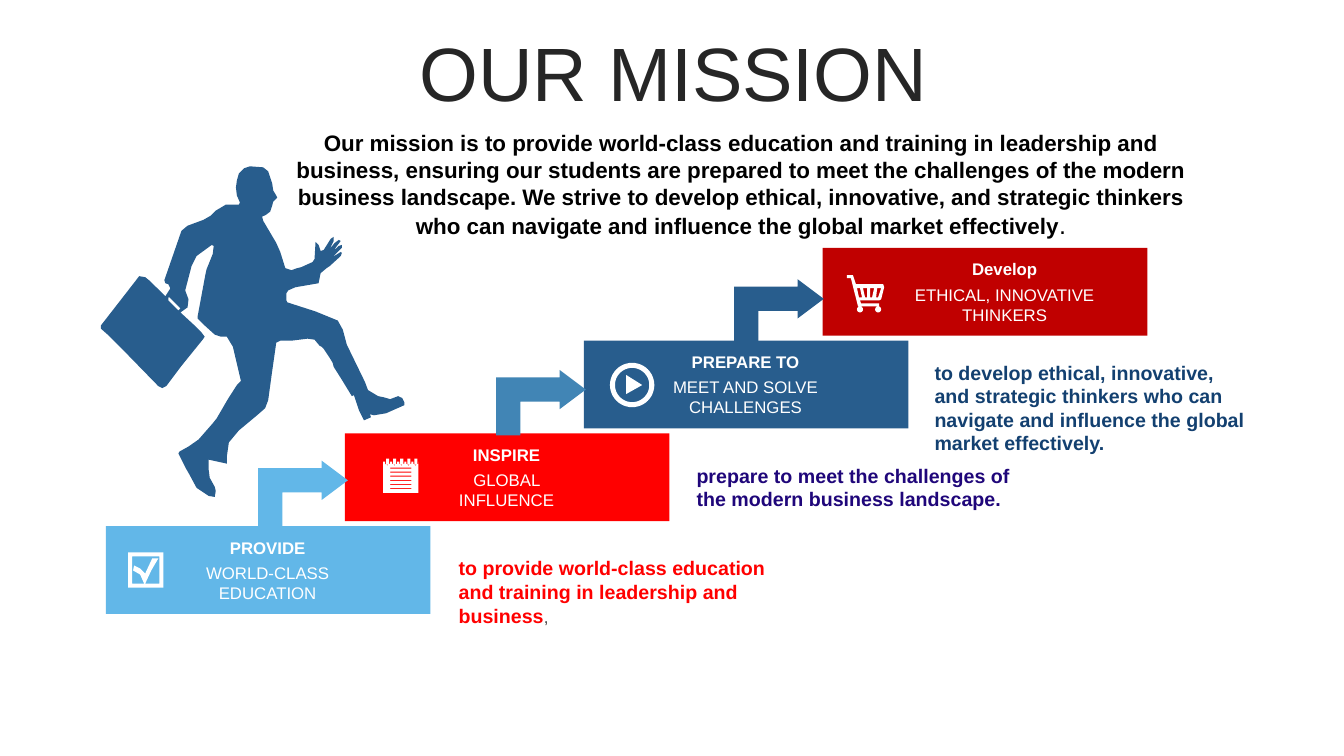
"""Build the mission slide: a running man and four rising steps."""
from dataclasses import dataclass
from math import cos, pi, sin

from pptx import Presentation
from pptx import util as u
from pptx.dml.color import RGBColor
from pptx.enum import shapes, text

Point = tuple[float, float]
Path = list[Point]
Box = tuple[float, float, float, float]

WHITE = RGBColor(0xFF, 0xFF, 0xFF)
BLACK = RGBColor(0, 0, 0)
DARK = RGBColor(0x26, 0x26, 0x26)
GREY = RGBColor(0x40, 0x40, 0x40)
SKY = RGBColor(0x62, 0xB7, 0xE8)
STEEL = RGBColor(0x41, 0x85, 0xB5)
BLUE = RGBColor(0x28, 0x5D, 0x8D)
NAVY = RGBColor(0x13, 0x40, 0x70)
INDIGO = RGBColor(0x1F, 0x06, 0x7A)
RED = RGBColor(0xFF, 0, 0)
CRIMSON = RGBColor(0xC0, 0, 0)

LEFT, TOP, RUN, RISE = 1.05, 5.22, 2.37, 0.92
CENTER = text.PP_ALIGN.CENTER


@dataclass
class Run:
    words: str
    size: float
    color: RGBColor
    bold: bool = False


@dataclass
class Step:
    head: str
    label: str
    fill: RGBColor
    left: float
    width: float = 1.73


@dataclass
class Note:
    box: Box
    runs: list[Run]


STEPS = [
    Step("PROVIDE", "WORLD-CLASS EDUCATION", SKY, 1.79),
    Step("INSPIRE", "GLOBAL INFLUENCE", RED, 4.16),
    Step("PREPARE TO", "MEET AND SOLVE CHALLENGES", BLUE, 6.53),
    Step("Develop", "ETHICAL, INNOVATIVE THINKERS", CRIMSON, 8.93, 2.07),
]
ARROWS = [SKY, STEEL, BLUE]
NOTES = [
    Note((4.45, 5.47, 3.35, 0.81), [
        Run("to provide world-class education and training in leadership and business", 14, RED, True),
        Run(",", 12, GREY)]),
    Note((6.81, 4.55, 3.35, 0.57), [
        Run("prepare to meet the challenges of the modern business landscape.", 14, INDIGO, True)]),
    Note((9.17, 3.53, 3.35, 1.04), [
        Run("to develop ethical, innovative, and strategic thinkers who can navigate "
            "and influence the global market effectively.", 14, NAVY, True)]),
]
MISSION = [
    Run("Our mission is to provide world-class education and training in leadership and business, "
        "ensuring our students are prepared to meet the challenges of the modern business landscape. "
        "We strive to develop ethical, innovative, and strategic thinkers who can navigate and "
        "influence the global market effectively", 16, BLACK, True),
    Run(".", 18, BLACK),
]
CASE = """
1.08,3.33 1.19,3.44 1.57,3.83 1.61,3.85 1.65,3.83 1.8,3.63 2.01,3.37 2.03,3.34 2,3.3 1.92,3.22
1.79,3.1 1.86,3.05 1.87,2.97 1.84,2.89 1.84,2.87 1.9,2.64 1.95,2.54 2.1,2.43 2.12,2.44 2.11,2.52
2.05,2.67 2.04,2.71 1.96,3.14 1.96,3.16 2.02,3.22 2.13,3.32 2.19,3.34 2.25,3.34 2.31,3.44 2.39,3.78"""
LEGS = """
2.35,3.82 2.26,3.96 2.15,4.15 2.11,4.2 1.97,4.36 1.87,4.43 1.78,4.48 1.77,4.5 1.84,4.64 1.88,4.71
1.95,4.84 2.07,4.92 2.13,4.93 2.14,4.87 2.13,4.83 2.08,4.74 2.07,4.66 2.07,4.56 2.25,4.6 2.25,4.53
2.27,4.39 2.37,4.27 2.55,4.12 2.63,4.05 2.66,3.97 2.7,3.68 2.74,3.4 2.78,3.38 2.89,3.38 3.05,3.36
3.12,3.37 3.17,3.43 3.19,3.44 3.21,3.46 3.27,3.55 3.3,3.6 3.31,3.64 3.38,3.75 3.49,3.93 3.51,3.92
3.56,4.07 3.61,4.17 3.68,4.14 3.67,4.11 3.71,4.12 3.83,4.1 4.01,4.02 4.01,3.99 3.99,3.95 3.95,3.93
3.87,3.96 3.8,3.94 3.75,3.93 3.65,3.87 3.62,3.79 3.44,3.42 3.4,3.27 3.35,3.18 3.13,3.09 2.85,3"""
HAND = """
2.84,2.98 2.84,2.91 2.86,2.88 2.93,2.85 3.16,2.81 3.18,2.71 3.24,2.66 3.27,2.64 3.38,2.54 3.39,2.51
3.38,2.5 3.3,2.55 3.32,2.53 3.39,2.46 3.39,2.43 3.36,2.44 3.33,2.47 3.32,2.47 3.38,2.39 3.36,2.38
3.32,2.41 3.27,2.47 3.31,2.39 3.31,2.35 3.28,2.37 3.23,2.45 3.21,2.48 3.18,2.49 3.16,2.43 3.13,2.4
3.12,2.57 3.1,2.6 2.99,2.65 2.95,2.66 2.89,2.68 2.83,2.66 2.78,2.5 2.74,2.41 2.61,2.19 2.6,2.15"""
HEAD = """
2.64,2.13 2.68,2.1 2.7,2.04 2.71,2 2.75,1.96 2.74,1.94 2.71,1.89 2.7,1.82 2.68,1.76 2.66,1.7
2.61,1.66 2.48,1.65 2.42,1.67 2.37,1.72 2.35,1.79 2.34,1.86 2.35,1.94 2.38,2.01 2.37,2.03 2.24,2.03
2.14,2.09 2.09,2.14 2.02,2.18 1.86,2.24 1.8,2.29 1.71,2.55 1.63,2.78 1.64,2.81 1.67,2.82 1.69,2.86
1.64,2.94 1.49,2.79 1.44,2.75 1.38,2.74 1.35,2.78 1,3.23 1,3.26
; 1.67,2.95 1.68,2.95 1.79,3.06 1.77,3.08 1.67,2.98"""
CHECK = """
1.31,5.52 1.31,5.79 1.43,5.79 1.39,5.7 1.32,5.66 1.33,5.61 1.39,5.64 1.44,5.69 1.51,5.54 1.57,5.54
1.5,5.66 1.44,5.79 1.58,5.79 1.58,5.52
; 1.27,5.48 1.62,5.48 1.62,5.83 1.27,5.83"""
CART = """
8.46,2.73 8.49,2.82 8.76,2.82 8.77,2.85 8.74,2.97 8.72,2.98 8.53,2.98 8.54,3.01 8.72,3.01 8.72,3.04
8.51,3.04 8.44,2.76 8.4,2.76 8.4,2.73
; 8.7,2.86 8.69,2.95 8.71,2.95 8.74,2.86 ; 8.63,2.86 8.63,2.95 8.65,2.95 8.67,2.86
; 8.56,2.86 8.58,2.95 8.6,2.95 8.6,2.86 ; 8.5,2.86 8.52,2.95 8.55,2.95 8.53,2.86"""


def trace(*parts: str) -> list[Path]:
    return [[(float(x), float(y)) for x, y in (pair.split(",") for pair in part.split())]
            for part in " ".join(parts).split(";")]


def block(left: float, top: float, right: float, low: float) -> Path:
    return [(left, top), (right, top), (right, low), (left, low)]


def ring(x: float, y: float, size: float, count: int = 48) -> Path:
    return [(x + size * cos(2 * pi * i / count), y + size * sin(2 * pi * i / count))
            for i in range(count)]


def pad() -> list[Path]:
    mids = [3.84 + 0.07 * i for i in range(5)]
    edge = [(3.8, 4.58)]
    for x in mids:
        edge += [(x - 0.02, 4.58), (x - 0.02, 4.6), (x, 4.62), (x + 0.03, 4.6), (x + 0.03, 4.58)]
    edge += [(4.15, 4.58), (4.15, 4.89), (3.8, 4.89)]
    clips = [block(x - 0.01, 4.55, x + 0.02, 4.61) for x in mids]
    lines = [block(3.87, 4.84 - 0.04 * i, 4.08, 4.85 - 0.04 * i) for i in range(6)]
    return [edge] + clips + lines


def paint(shape, color: RGBColor) -> None:
    shape.shadow.inherit = False
    shape.fill.solid()
    shape.fill.fore_color.rgb = color
    shape.line.fill.background()


def draw(slide, paths: list[Path], color: RGBColor) -> None:
    spots = [[(u.Inches(x), u.Inches(y)) for x, y in path] for path in paths]
    pen = slide.shapes.build_freeform(*spots[0][0], scale=1.0)
    pen.add_line_segments(spots[0][1:], close=True)
    for path in spots[1:]:
        pen.move_to(*path[0])
        pen.add_line_segments(path[1:], close=True)
    paint(pen.convert_to_shape(), color)


def place(slide, kind, box: Box, color: RGBColor):
    shape = slide.shapes.add_shape(kind, *map(u.Inches, box))
    paint(shape, color)
    return shape


def fill(frame, runs: list[Run], align=None):
    frame.word_wrap = True
    para = frame.paragraphs[0]
    para.alignment = align
    for item in runs:
        run = para.add_run()
        run.text = item.words
        font = run.font
        font.name, font.size, font.bold = "Arial", u.Pt(item.size), item.bold
        font.color.rgb = item.color
    return para


def write(slide, box: Box, runs: list[Run], align=None, anchor=text.MSO_ANCHOR.TOP) -> None:
    frame = slide.shapes.add_textbox(*map(u.Inches, box)).text_frame
    frame.vertical_anchor = anchor
    fill(frame, runs, align)


def main() -> None:
    deck = Presentation()
    deck.slide_width, deck.slide_height = u.Inches(13.33), u.Inches(7.5)
    slide = deck.slides.add_slide(deck.slide_layouts[5])
    title = slide.shapes.title
    title.left, title.top, title.width, title.height = map(u.Inches, (0.35, 0.37, 12.66, 0.79))
    title.text_frame.auto_size = text.MSO_AUTO_SIZE.NONE
    title.text_frame.vertical_anchor = text.MSO_ANCHOR.MIDDLE
    para = fill(title.text_frame, [Run("OUR MISSION", 54, DARK)], CENTER)
    para.line_spacing, para.space_before = 0.9, u.Pt(10)
    for i, step in enumerate(STEPS):
        drop = RISE * i
        place(slide, shapes.MSO_SHAPE.RECTANGLE, (LEFT + RUN * i, TOP - drop, 3.22, 0.87), step.fill)
        for top, tall, run in ((5.28, 0.3, Run(step.head, 12, WHITE, True)),
                               (5.53, 0.5, Run(step.label, 12, WHITE))):
            write(slide, (step.left, top - drop, step.width, tall), [run], CENTER, text.MSO_ANCHOR.MIDDLE)
    for i, color in enumerate(ARROWS):
        arrow = place(slide, shapes.MSO_SHAPE.BENT_UP_ARROW,
                      (2.68 + 2.36 * i, 4.45 - 0.9 * i, 0.65, 0.89), color)
        for j, value in enumerate((0.37, 0.3, 0.4)):
            arrow.adjustments[j] = value
        arrow.rotation = 270
        arrow._element.spPr.xfrm.set("flipV", "1")
    for note in NOTES:
        write(slide, note.box, note.runs)
    play = [[(6.21, 3.72), (6.37, 3.82), (6.21, 3.91)], ring(6.27, 3.82, 0.17), ring(6.27, 3.82, 0.22)]
    wheels = [ring(x, 3.07, 0.03, 16) for x in (8.53, 8.71)]
    for icon in (trace(CHECK), pad(), play, trace(CART) + wheels):
        draw(slide, icon, WHITE)
    draw(slide, trace(CASE, LEGS, HAND, HEAD), BLUE)
    write(slide, (2.65, 1.23, 9.4, 1.21), MISSION, CENTER)
    deck.save("out.pptx")


if __name__ == "__main__":
    main()
